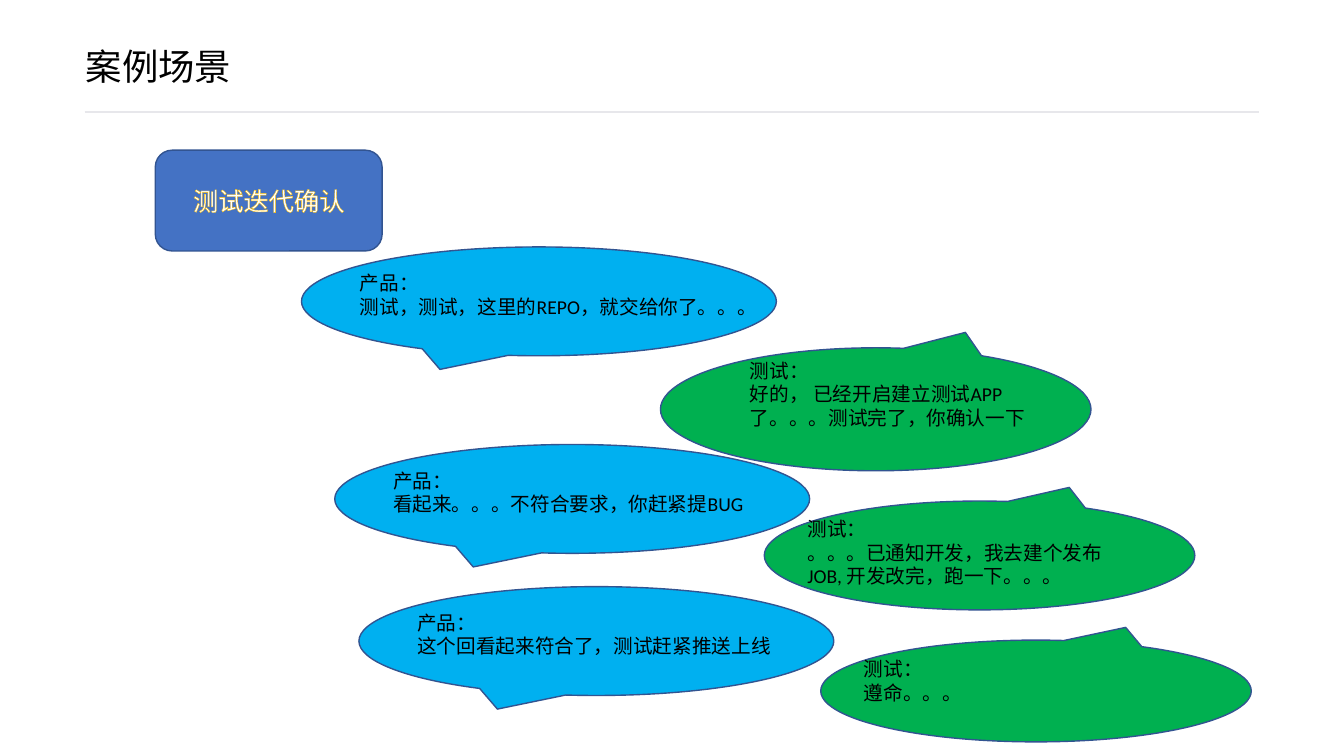
from dataclasses import dataclass

from lxml import etree
from pptx import Presentation
from pptx.dml.color import RGBColor
from pptx.enum.shapes import MSO_CONNECTOR, MSO_SHAPE
from pptx.enum.text import MSO_ANCHOR, MSO_AUTO_SIZE, PP_ALIGN
from pptx.oxml.ns import qn
from pptx.util import Inches, Pt

CALLOUT = MSO_SHAPE.OVAL_CALLOUT
ROUNDED = MSO_SHAPE.ROUNDED_RECTANGLE
STRAIGHT = MSO_CONNECTOR.STRAIGHT
MIDDLE = MSO_ANCHOR.MIDDLE
CENTER = PP_ALIGN.CENTER
FIT_SHAPE = MSO_AUTO_SIZE.SHAPE_TO_FIT_TEXT


@dataclass(frozen=True)
class Theme:
    text: str = "000000"
    rule: str = "E7E7EB"
    outline: str = "325491"
    stage_fill: str = "4472C4"
    stage_text: str = "FFFFFF"
    stage_glow: str = "FFC000"
    product: str = "00B0F0"
    tester: str = "00B050"
    title_font: str = "Noto Sans CJK SC"
    body_font: str = "Calibri"
    title_size: int = 26
    stage_size: int = 18
    speech_size: int = 14


theme = Theme()


def add_outlined(kind, left, top, width, height, fill):
    shape = slide.shapes.add_shape(
        kind, Inches(left), Inches(top), Inches(width), Inches(height))
    shape.shadow.inherit = False
    shape.fill.solid()
    shape.fill.fore_color.rgb = RGBColor.from_string(fill)
    shape.line.color.rgb = RGBColor.from_string(theme.outline)
    shape.line.width = Pt(1)
    return shape


def style_text(frame, name, size, color):
    for paragraph in frame.paragraphs:
        for run in paragraph.runs:
            run.font.name = name
            run.font.size = Pt(size)
            run.font.color.rgb = RGBColor.from_string(color)


prs = Presentation()
prs.slide_width = Inches(13.33)
prs.slide_height = Inches(7.5)
slide = prs.slides.add_slide(prs.slide_layouts[6])

# Heading and its rule
rule = slide.shapes.add_connector(
    STRAIGHT, Inches(0.84), Inches(1.11), Inches(12.49), Inches(1.11))
rule.line.color.rgb = RGBColor.from_string(theme.rule)
rule.line.width = Pt(1)
etree.SubElement(rule._element.spPr, qn("a:effectLst"))

heading = slide.shapes.add_textbox(
    Inches(0.85), Inches(0.49), Inches(12.48), Inches(0.41)).text_frame
heading.word_wrap = True
heading.margin_left = heading.margin_right = 0
heading.margin_top = heading.margin_bottom = 0
heading.text = "案例场景"
heading.paragraphs[0].line_spacing = 0.9
style_text(heading, theme.title_font, theme.title_size, theme.text)
heading_props = heading.paragraphs[0].runs[0]._r.get_or_add_rPr()
etree.SubElement(heading_props, qn("a:ea"), typeface=theme.title_font)

# Stage label with outlined letters
stage = add_outlined(ROUNDED, 1.54, 1.49, 2.25, 1, theme.stage_fill).text_frame
stage.text = "测试迭代确认"
stage.vertical_anchor = MIDDLE
stage.paragraphs[0].alignment = CENTER
style_text(stage, theme.body_font, theme.stage_size, theme.stage_text)
letter_line = etree.Element(qn("a:ln"), w=str(Pt(0.75)))
letter_fill = etree.SubElement(letter_line, qn("a:solidFill"))
etree.SubElement(letter_fill, qn("a:srgbClr"), val=theme.stage_glow)
stage.paragraphs[0].runs[0]._r.get_or_add_rPr().insert(0, letter_line)

# Conversation: speaker, bubble (left, top, height), words (dx, dy, width, height), line
speakers = {
    "产品：": (theme.product, 4.71, 0),
    "测试：": (theme.tester, 4.27, 180),
}
product_words = (0.48, 0.19, 4.1, 0.57)
conversation = [
    ("产品：", (2.99, 2.45, 1.08), product_words,
     "测试，测试，这里的REPO，就交给你了。。。"),
    ("测试：", (6.55, 3.45, 1.22), (0.79, 0.06, 2.97, 0.81),
     "好的， 已经开启建立测试APP了。。。测试完了，你确认一下"),
    ("产品：", (3.32, 4.41, 1.08), product_words,
     "看起来。。。不符合要求，你赶紧提BUG"),
    ("测试：", (7.58, 4.97, 1.08), (0.33, 0.11, 3.45, 0.81),
     "。。。已通知开发，我去建个发布JOB, 开发改完，跑一下。。。"),
    ("产品：", (3.56, 5.82, 1.08), product_words,
     "这个回看起来符合了，测试赶紧推送上线"),
    ("测试：", (8.14, 6.35, 1.01), (0.33, 0.12, 3.45, 0.57),
     "遵命。。。"),
]
for speaker, (left, top, height), (dx, dy, words_width, words_height), line in conversation:
    fill, bubble_width, rotation = speakers[speaker]
    bubble = add_outlined(CALLOUT, left, top, bubble_width, height, fill)
    bubble.rotation = rotation

    words = slide.shapes.add_textbox(
        Inches(left + dx), Inches(top + dy),
        Inches(words_width), Inches(words_height)).text_frame
    words.word_wrap = True
    words.auto_size = FIT_SHAPE
    words.text = f"{speaker}\n{line}"
    style_text(words, theme.body_font, theme.speech_size, theme.text)

prs.save("out.pptx")
